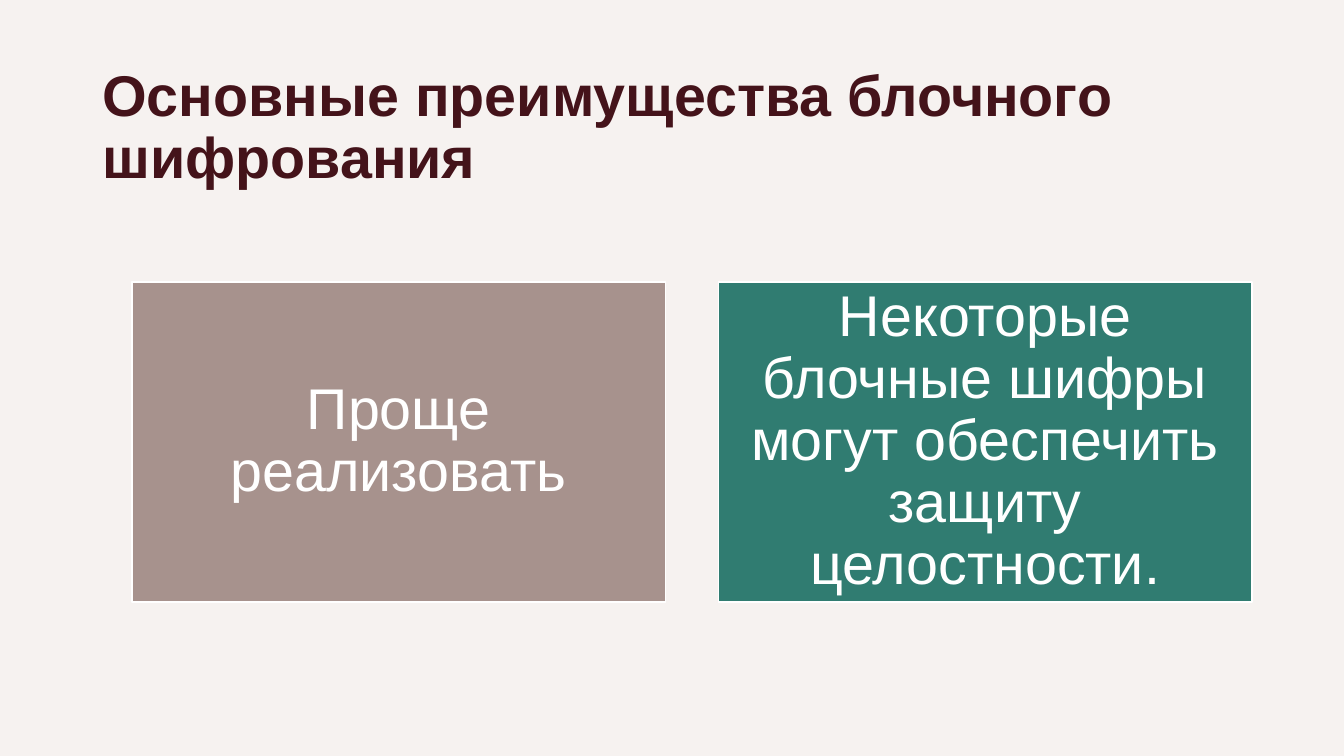
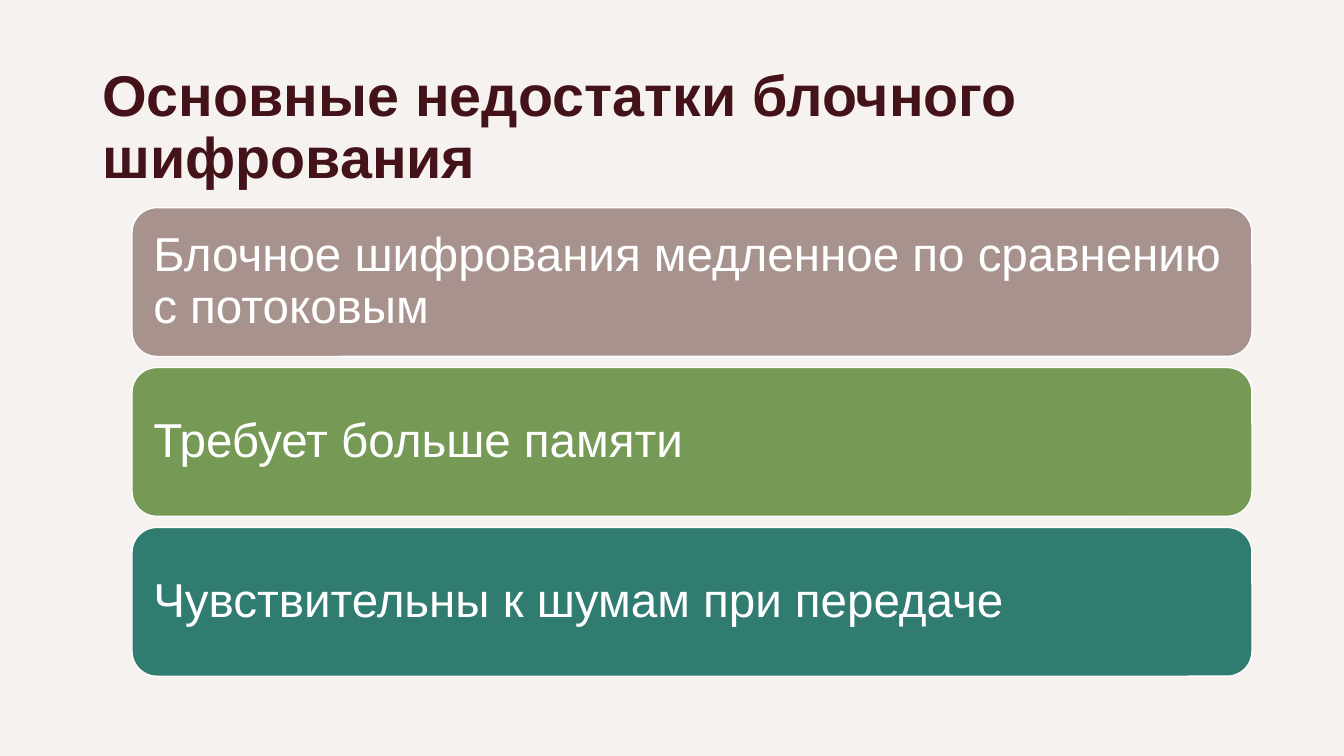
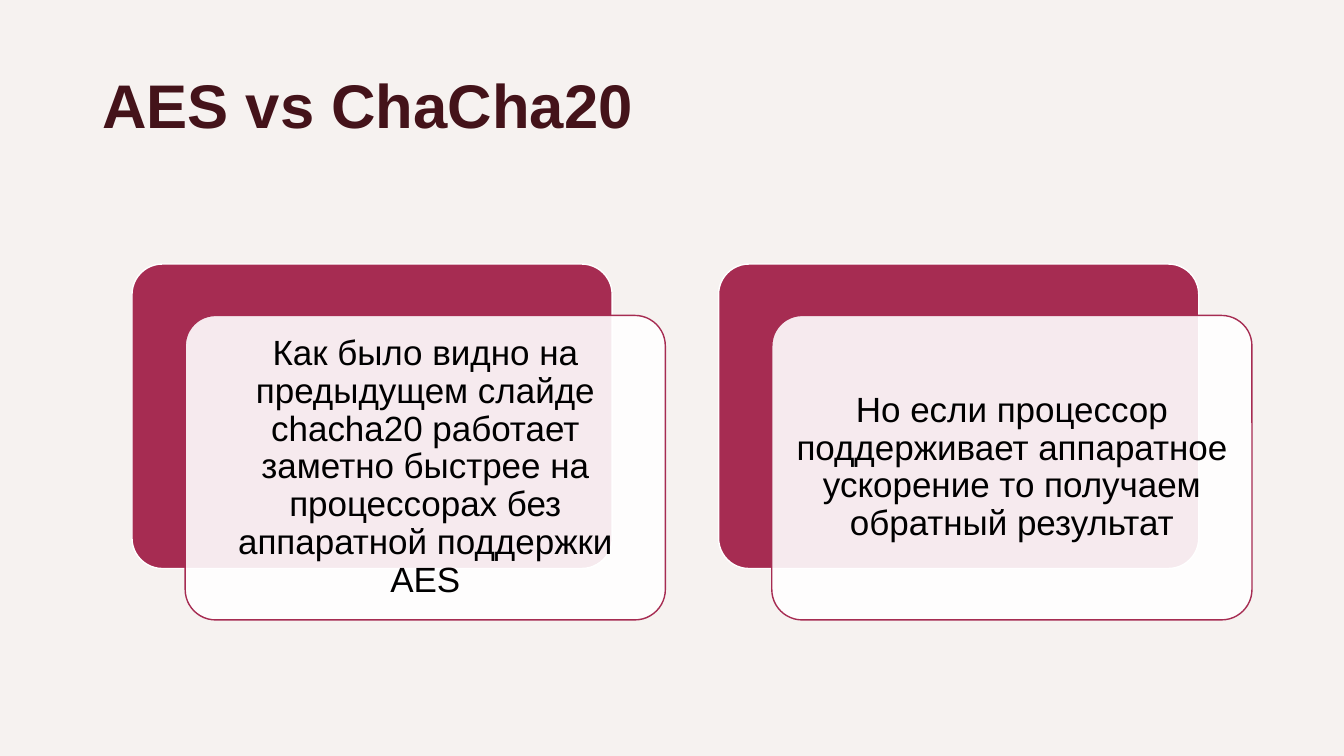
from lxml import etree
from pptx import Presentation
from pptx.dml.color import RGBColor
from pptx.enum import shapes, text
from pptx.oxml.ns import qn
from pptx.util import Pt

FONT = "Arial"
BACKGROUND, TITLE, WHITE, BLACK = "F6F2F0", "44131A", "FFFFFF", "000000"
TAUPE, GREEN, TEAL, CRIMSON = "A7928D", "769A56", "307C71", "A62C52"
LEFT, WIDTH, MIDDLE = 94.3, 800, 315.7
GAP = 38
COLUMN = (WIDTH - GAP) / 2


def color(value):
    return RGBColor.from_string(value)


def write(frame, words, size, ink, bold=False, align=text.PP_ALIGN.LEFT,
          anchor=text.MSO_ANCHOR.MIDDLE, inset=(7.2, 3.6), spacing=0.9):
    frame.word_wrap = True
    frame.auto_size = text.MSO_AUTO_SIZE.NONE
    frame.vertical_anchor = anchor
    frame.margin_left = frame.margin_right = Pt(inset[0])
    frame.margin_top = frame.margin_bottom = Pt(inset[1])
    paragraph = frame.paragraphs[0]
    paragraph.alignment = align
    paragraph.line_spacing = spacing
    run = paragraph.add_run()
    run.text = words
    run.font.name, run.font.size, run.font.bold = FONT, Pt(size), bold
    run.font.color.rgb = color(ink)


class Deck:
    """Holds the shared style and the slide being built."""

    def __init__(self):
        self.show = Presentation()
        self.show.slide_width, self.show.slide_height = Pt(960), Pt(540)

    def start(self, title, size=41, spacing=0.9):
        self.slide = self.show.slides.add_slide(self.show.slide_layouts[6])
        fill = self.slide.background.fill
        fill.solid()
        fill.fore_color.rgb = color(BACKGROUND)
        heading = self.slide.shapes.add_textbox(Pt(66), Pt(44), Pt(815), Pt(101))
        write(heading.text_frame, title, size, TITLE, bold=True,
              anchor=text.MSO_ANCHOR.TOP, spacing=spacing)

    def card(self, left, top, width, height, fill, line=WHITE, radius=0, opacity=100):
        kind = shapes.MSO_SHAPE.ROUNDED_RECTANGLE if radius else shapes.MSO_SHAPE.RECTANGLE
        card = self.slide.shapes.add_shape(kind, Pt(left), Pt(top), Pt(width), Pt(height))
        if radius:
            card.adjustments[0] = radius
        card.shadow.inherit = False
        card.fill.solid()
        card.fill.fore_color.rgb = color(fill)
        card.line.color.rgb = color(line)
        card.line.width = Pt(1)
        if opacity < 100:
            tint = card.fill._xPr.find(qn("a:solidFill"))[0]
            etree.SubElement(tint, qn("a:alpha")).set("val", str(opacity * 1000))
        return card.text_frame

    def columns(self):
        return [LEFT + i * (COLUMN + GAP) for i in range(2)]


def advantages(deck):
    deck.start("Основные преимущества блочного шифрования")
    height = 228.5
    benefits = [("Проще реализовать", TAUPE),
                ("Некоторые блочные шифры могут обеспечить защиту целостности.", TEAL)]
    for left, (benefit, fill) in zip(deck.columns(), benefits):
        frame = deck.card(left, MIDDLE - height / 2, COLUMN, height, fill)
        write(frame, benefit, 41, WHITE, align=text.PP_ALIGN.CENTER, inset=(12, 12))


def drawbacks(deck):
    deck.start("Основные недостатки блочного шифрования")
    height, pitch = 106.3, 114.2
    rows = [("Блочное шифрования медленное по сравнению с потоковым", TAUPE),
            ("Требует больше памяти", GREEN),
            ("Чувствительны к шумам при передаче", TEAL)]
    for i, (drawback, fill) in enumerate(rows):
        top = MIDDLE - height / 2 + (i - 1) * pitch
        frame = deck.card(LEFT, top, WIDTH, height, fill, radius=0.1667)
        write(frame, drawback, 34, WHITE, inset=(10, 10))


def comparison(deck):
    deck.start("AES vs ChaCha20", size=44, spacing=1)
    height, drop = 217.5, 36.7
    width = COLUMN - GAP
    top = MIDDLE - (height + drop) / 2
    findings = ["Как было видно на предыдущем слайде chacha20 работает заметно быстрее "
                "на процессорах без аппаратной поддержки AES",
                "Но если процессор поддерживает аппаратное ускорение то получаем "
                "обратный результат"]
    for left, finding in zip(deck.columns(), findings):
        deck.card(left, top, width, height, CRIMSON, radius=0.1)
        frame = deck.card(left + GAP, top + drop, width, height, WHITE,
                          line=CRIMSON, radius=0.1, opacity=90)
        write(frame, finding, 25, BLACK, align=text.PP_ALIGN.CENTER, inset=(7, 7))


def main():
    deck = Deck()
    for build in (advantages, drawbacks, comparison):
        build(deck)
    deck.show.save("out.pptx")


if __name__ == "__main__":
    main()
